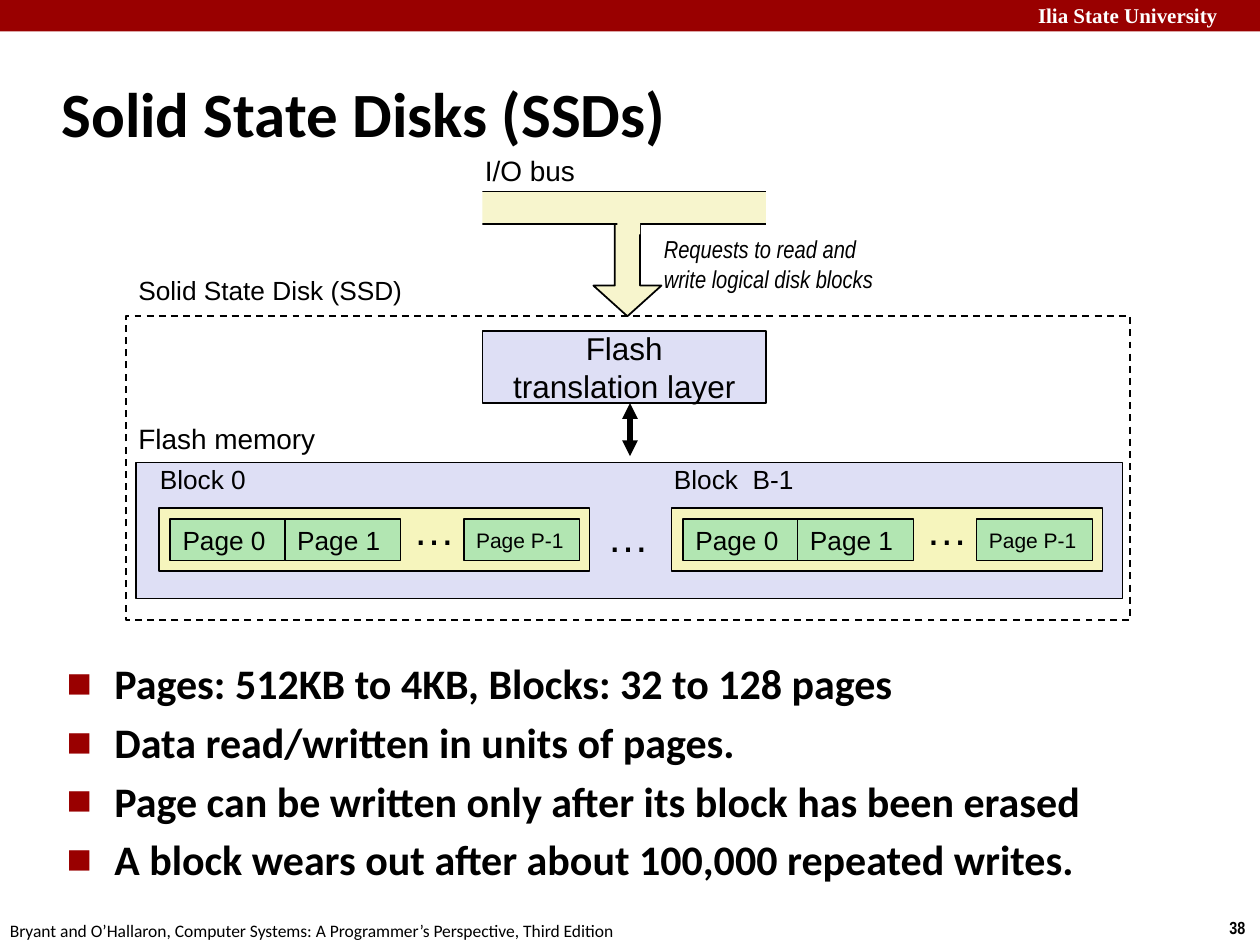
from lxml import etree
from pptx import Presentation
from pptx.dml.color import RGBColor
from pptx.enum.dml import MSO_LINE
from pptx.enum.shapes import MSO_CONNECTOR, MSO_SHAPE
from pptx.enum.text import MSO_ANCHOR, PP_ALIGN
from pptx.oxml.ns import qn
from pptx.util import Inches, Pt

RED = RGBColor(0x99, 0x00, 0x00)
BLACK = RGBColor(0x00, 0x00, 0x00)
WHITE = RGBColor(0xFF, 0xFF, 0xFF)
LAVENDER = RGBColor(0xDE, 0xDF, 0xF5)
CREAM = RGBColor(0xF7, 0xF5, 0xCD)
YELLOW = RGBColor(0xF6, 0xF5, 0xBD)
GREEN = RGBColor(0xB2, 0xE6, 0xB2)

TITLE = "Solid State Disks (SSDs)"
FACTS = [
    "Pages: 512KB to 4KB, Blocks: 32 to 128 pages",
    "Data read/written in units of pages.",
    "Page can be written only after its block has been erased",
    "A block wears out after about 100,000 repeated writes.",
]
FOOTER = "Bryant and O’Hallaron, Computer Systems: A Programmer’s Perspective, Third Edition"
REQUESTS = ["Requests to read and", "write logical disk blocks"]
TRANSLATION = ["Flash", "translation layer"]

# Block left edge, label offset from it, label
BLOCKS = [(1.26, -0.09, "Block 0"), (5.33, -0.08, "Block  B-1")]
# Offset within the block, label, text size
PAGES = [(0.09, "Page 0", 15), (1.0, "Page 1", 15), (2.42, "Page P-1", 12)]

prs = Presentation()
prs.slide_width, prs.slide_height = Inches(10), Inches(7.5)
slide = prs.slides.add_slide(prs.slide_layouts[6])
shapes = slide.shapes


def add_bullet(paragraph):
    props = paragraph._p.get_or_add_pPr()
    props.set("marL", str(Inches(0.38)))
    props.set("indent", str(-Inches(0.38)))
    colour = etree.SubElement(props, qn("a:buClr"))
    etree.SubElement(colour, qn("a:srgbClr"), val=str(RED))
    etree.SubElement(props, qn("a:buFont"), typeface="Arial")
    etree.SubElement(props, qn("a:buChar"), char="■")


def write(shape, lines, size=15, font="Arial", color=BLACK, bold=False, italic=False,
          align=PP_ALIGN.LEFT, anchor=MSO_ANCHOR.TOP, bullets=False, gap=0):
    frame = shape.text_frame
    frame.word_wrap = True
    frame.vertical_anchor = anchor
    for i, line in enumerate([lines] if isinstance(lines, str) else lines):
        paragraph = frame.add_paragraph() if i else frame.paragraphs[0]
        paragraph.alignment = align
        if i and gap:
            paragraph.space_before = Pt(gap)
        if bullets:
            add_bullet(paragraph)
        run = paragraph.add_run()
        run.text = line
        run.font.size, run.font.name = Pt(size), font
        run.font.bold, run.font.italic = bold, italic
        run.font.color.rgb = color


def label(x, y, w, h, lines, **style):
    box = shapes.add_textbox(Inches(x), Inches(y), Inches(w), Inches(h))
    write(box, lines, **style)


def draw(x, y, w, h, fill=None, outlined=True, kind=MSO_SHAPE.RECTANGLE):
    shape = shapes.add_shape(kind, Inches(x), Inches(y), Inches(w), Inches(h))
    shape.shadow.inherit = False
    if fill is None:
        shape.fill.background()
    else:
        shape.fill.solid()
        shape.fill.fore_color.rgb = fill
    if outlined:
        shape.line.color.rgb = BLACK
        shape.line.width = Pt(1)
    else:
        shape.line.fill.background()
    return shape


def double_arrow(x, top, bottom):
    arrow = shapes.add_connector(MSO_CONNECTOR.STRAIGHT, Inches(x), Inches(top),
                                 Inches(x), Inches(bottom))
    arrow.line.color.rgb = BLACK
    arrow.line.width = Pt(3)
    line = arrow.line._get_or_add_ln()
    for end in ("a:headEnd", "a:tailEnd"):
        etree.SubElement(line, qn(end), type="triangle")
    etree.SubElement(arrow._element.spPr, qn("a:effectLst"))


def ellipsis(x, y):
    label(x, y, 0.55, 0.5, "…", size=24)


def draw_block(x, label_shift, name):
    draw(x, 4.03, 3.42, 0.5, YELLOW)
    for offset, page, size in PAGES:
        write(draw(x + offset, 4.12, 0.92, 0.33, GREEN), page, size=size,
              anchor=MSO_ANCHOR.MIDDLE)
    ellipsis(x + 1.92, 3.95)
    label(x + label_shift, 3.63, 1.21, 0.35, name)


# Slide frame
draw(0, 0, 10, 0.25, RED, outlined=False)
label(8.14, -0.03, 1.93, 0.3, "Ilia State University", size=12,
      font="Times New Roman", color=WHITE, bold=True)
label(9.66, 7.23, 0.34, 0.27, "38", size=10, font="Arial Narrow", bold=True)
label(-0.02, 7.25, 5.08, 0.27, FOOTER, size=10, font="Calibri")
label(0.39, 0.48, 8.3, 0.83, TITLE, size=36, font="Calibri", bold=True,
      anchor=MSO_ANCHOR.MIDDLE)
label(0.43, 5.17, 8.64, 2.08, FACTS, size=24, font="Calibri", bold=True,
      bullets=True, gap=4.8)

# Flash memory panel and translation layer
draw(1.08, 3.67, 7.83, 1.08, LAVENDER)
request_arrow = draw(4.71, 1.76, 0.54, 0.75, CREAM, kind=MSO_SHAPE.DOWN_ARROW)
request_arrow.adjustments[0] = 0.37
request_arrow.adjustments[1] = 0.45
write(draw(3.83, 2.63, 2.25, 0.57, LAVENDER), TRANSLATION, size=18,
      align=PP_ALIGN.CENTER, anchor=MSO_ANCHOR.MIDDLE)
double_arrow(5, 3.2, 3.62)

# I/O bus, joined to its arrow and left open at both ends
draw(3.75, 1.52, 2.42, 0.26, CREAM)
draw(4.9, 1.69, 0.18, 0.17, CREAM, outlined=False)
label(3.75, 1.17, 1, 0.37, "I/O bus", size=16, anchor=MSO_ANCHOR.MIDDLE)
draw(6.08, 1.28, 0.5, 0.58, WHITE, outlined=False)
draw(3.33, 1.33, 0.5, 0.5, WHITE, outlined=False)

for block in BLOCKS:
    draw_block(*block)
ellipsis(4.72, 4)

# Disk outline and captions
label(1, 3.3, 1.7, 0.37, "Flash memory", size=16)
draw(1, 2.51, 7.97, 2.41).line.dash_style = MSO_LINE.DASH
label(1, 2.13, 2.43, 0.35, "Solid State Disk (SSD)")
label(5.17, 1.81, 2.33, 0.57, REQUESTS, size=14, font="Arial Narrow", italic=True)

prs.save("out.pptx")
